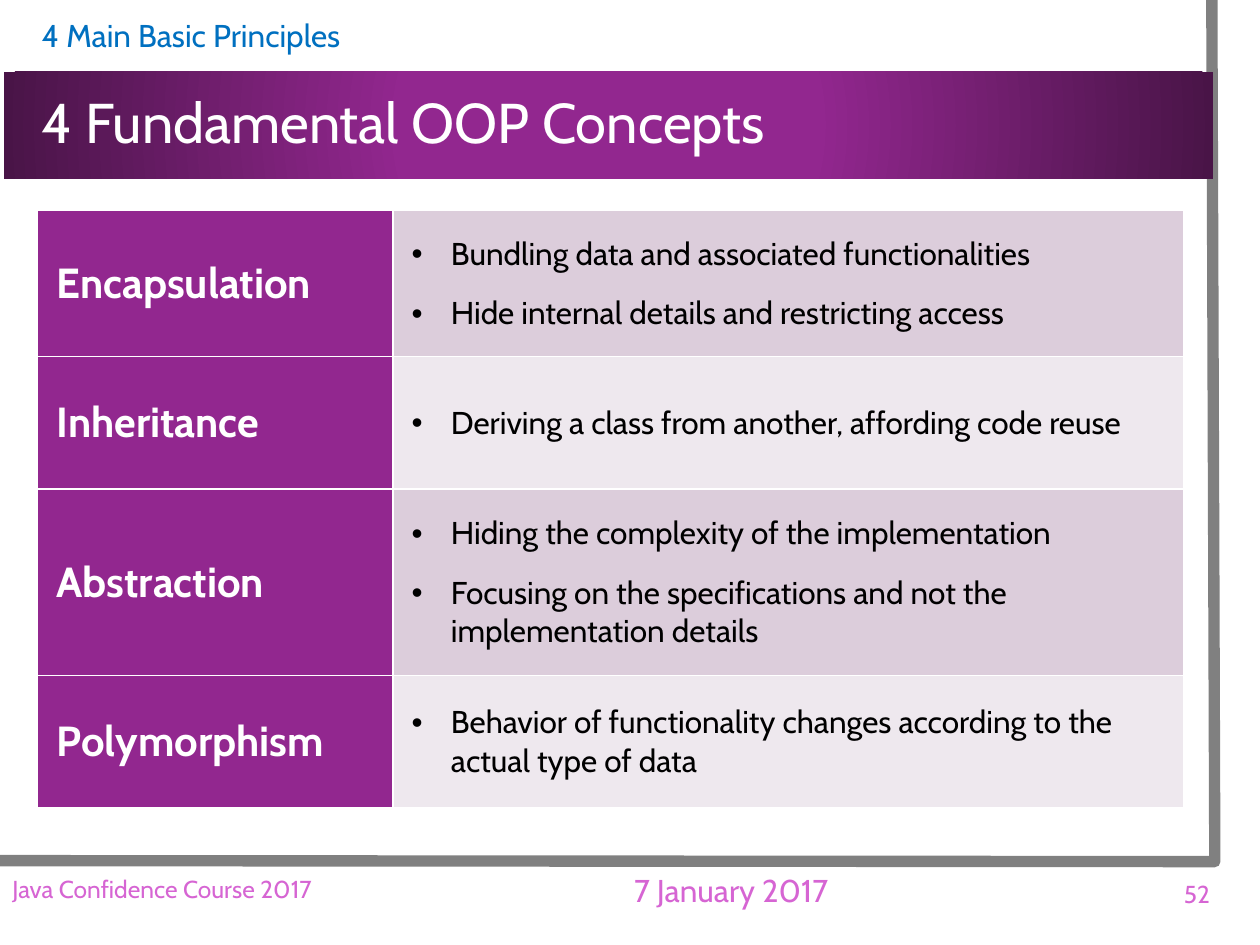
from lxml.etree import SubElement
from pptx import Presentation
from pptx.dml.color import RGBColor
from pptx.enum.shapes import MSO_SHAPE
from pptx.enum.text import MSO_ANCHOR, PP_ALIGN
from pptx.oxml import parse_xml
from pptx.oxml.ns import nsdecls, qn
from pptx.util import Cm, Pt

FONT = "Cabin"
COLORS = {
    "purple": "92278F", "dark": "491447", "pink": "D665D3", "blue": "0070C0",
    "grey": "808080", "white": "FFFFFF", "black": "000000",
    "band1": "DCCDDB", "band2": "EEE8EE",
}

# Content: text, box in cm, left inset in cm, size, colour, alignment, line spacing
HEADINGS = [
    ("4 Main Basic Principles", (0.08, 0.2, 24.38, 1.02), 0.76, 18, "blue", PP_ALIGN.LEFT, 1.0),
    ("4 Fundamental OOP Concepts", (0.08, 1.47, 24.38, 2.13), 0.76, 32, "white", PP_ALIGN.LEFT, 0.9),
]
FOOTER = [
    ("7 January 2017", (10.74, 17.4, 8, 1.09), 0.25, 18, "pink", PP_ALIGN.CENTER, 1.0),
    ("Java Confidence Course 2017", (0, 17.4, 10.74, 1.04), 0.25, 14, "pink", PP_ALIGN.LEFT, 1.0),
    ("52", (18.77, 17.42, 5.87, 1.19), 0.25, 14, "pink", PP_ALIGN.RIGHT, 1.0),
]
CONCEPTS = [  # name, row height in cm, points
    ("Encapsulation", 2.95, ["Bundling data and associated functionalities",
                             "Hide internal details and restricting access"]),
    ("Inheritance", 2.67, ["Deriving a class from another, affording code reuse"]),
    ("Abstraction", 3.76, ["Hiding the complexity of the implementation",
                           "Focusing on the specifications and not the implementation details"]),
    ("Polymorphism", 2.67, ["Behavior of functionality changes according to the actual type of data"]),
]
COL_WIDTHS = [7.16, 15.95]
FRAME = [(24.43, 0), (24.49, 17.37), (-0.05, 17.35)]
BAR = (0.08, 1.45, 24.38, 2.16)


def rgb(name):
    return RGBColor.from_string(COLORS[name])


def add_run(p, text, size, color, bold=False):
    r = p.add_run()
    r.text = text
    r.font.name, r.font.size, r.font.bold = FONT, Pt(size), bold
    r.font.color.rgb = rgb(color)


def add_text(s, text, box, inset, size, color, align, spacing):
    tf = s.shapes.add_textbox(*map(Cm, box)).text_frame
    tf.word_wrap = True
    tf.vertical_anchor = MSO_ANCHOR.MIDDLE
    tf.margin_left = Cm(inset)
    p = tf.paragraphs[0]
    p.alignment, p.line_spacing = align, spacing
    add_run(p, text, size, color)


def add_bullet(p):
    pPr = p._p.get_or_add_pPr()
    pPr.set("marL", str(Cm(0.79)))
    pPr.set("indent", str(-Cm(0.79)))
    SubElement(pPr, qn("a:buFont"), typeface="Arial")
    SubElement(pPr, qn("a:buChar"), char="•")


def style_cell(cell, fill):
    cell.margin_left = cell.margin_right = cell.margin_top = cell.margin_bottom = Cm(0.38)
    cell.vertical_anchor = MSO_ANCHOR.MIDDLE
    tcPr = cell._tc.get_or_add_tcPr()
    for side in ("lnL", "lnR", "lnT", "lnB"):
        ln = SubElement(tcPr, qn(f"a:{side}"), w=str(Pt(1)))
        SubElement(SubElement(ln, qn("a:solidFill")), qn("a:srgbClr"), val=COLORS["white"])
    cell.fill.solid()
    cell.fill.fore_color.rgb = rgb(fill)


def add_frame(s):
    points = [(Cm(x), Cm(y)) for x, y in FRAME]
    fb = s.shapes.build_freeform(*points[0])
    fb.add_line_segments(points[1:], close=False)
    sp = fb.convert_to_shape()
    sp.shadow.inherit = False
    sp.fill.background()
    sp.line.color.rgb = rgb("grey")
    sp.line.width = Pt(6.5)


def add_bar(s):
    sp = s.shapes.add_shape(MSO_SHAPE.RECTANGLE, *map(Cm, BAR))
    sp.shadow.inherit = False
    sp.line.fill.background()
    stops = "".join(f'<a:gs pos="{pos}000"><a:srgbClr val="{COLORS[c]}"/></a:gs>'
                    for pos, c in ((34, "purple"), (100, "dark")))
    grad = parse_xml(
        f'<a:gradFill {nsdecls("a")} rotWithShape="1"><a:gsLst>{stops}</a:gsLst><a:path path="circle">'
        '<a:fillToRect l="50000" t="50000" r="50000" b="50000"/></a:path></a:gradFill>')
    sp._element.spPr.find(qn("a:prstGeom")).addnext(grad)


def add_concepts(s):
    heights = [h for _, h, _ in CONCEPTS]
    table = s.shapes.add_table(len(CONCEPTS), 2, Cm(0.76), Cm(4.24),
                               Cm(sum(COL_WIDTHS)), Cm(sum(heights))).table
    table.first_row = table.horz_banding = False
    for col, width in zip(table.columns, COL_WIDTHS):
        col.width = Cm(width)
    for i, (name, height, points) in enumerate(CONCEPTS):
        table.rows[i].height = Cm(height)
        head, body = table.rows[i].cells
        style_cell(head, "purple")
        style_cell(body, ("band1", "band2")[i % 2])
        add_run(head.text_frame.paragraphs[0], name, 24, "white", True)
        tf = body.text_frame
        for j, point in enumerate(points):
            p = tf.add_paragraph() if j else tf.paragraphs[0]
            if j:
                p.space_before = Pt(12)
            add_bullet(p)
            add_run(p, point, 18, "black")


def main():
    prs = Presentation()
    prs.slide_width, prs.slide_height = Cm(25.4), Cm(19.05)
    s = prs.slides.add_slide(prs.slide_layouts[6])
    # Frame line and title bar
    add_frame(s)
    add_bar(s)
    # Headings and footer
    for item in HEADINGS + FOOTER:
        add_text(s, *item)
    # Table of concepts
    add_concepts(s)
    prs.save("out.pptx")


if __name__ == "__main__":
    main()
